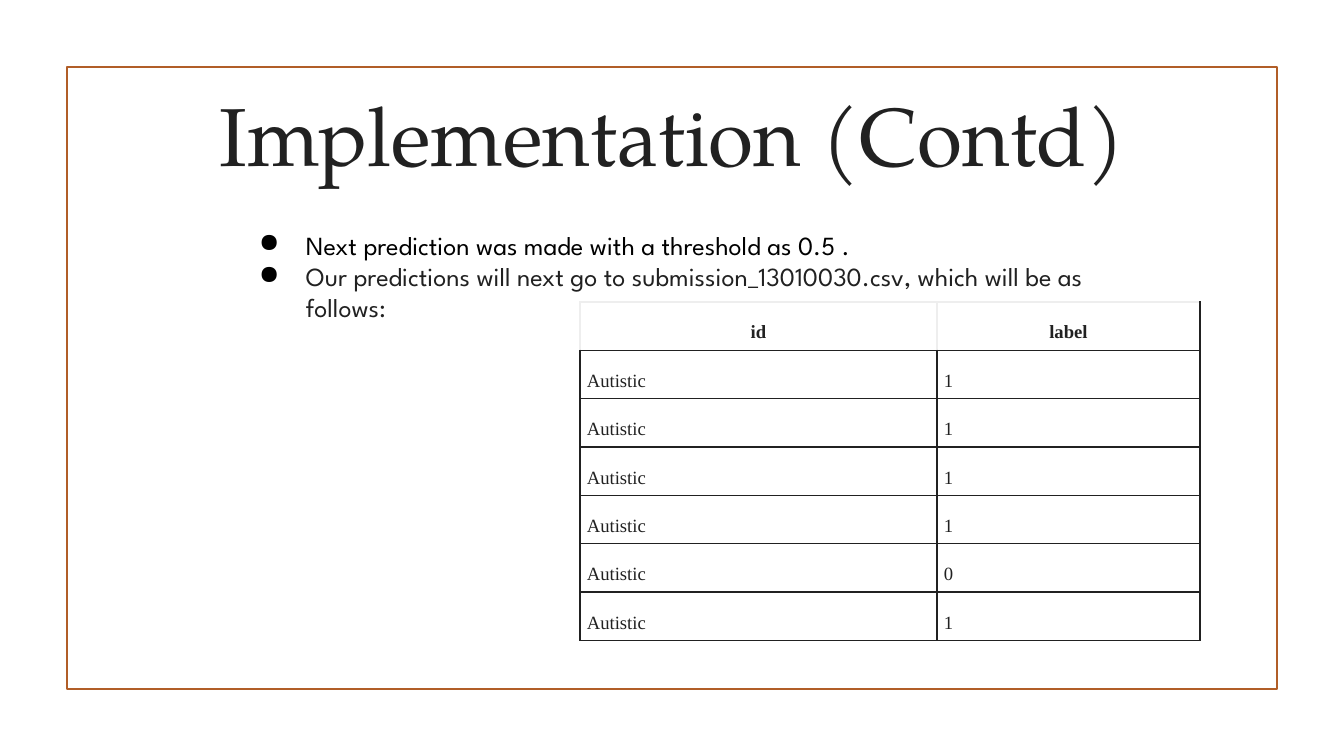
from lxml import etree
from pptx import Presentation
from pptx.dml.color import RGBColor
from pptx.enum.shapes import MSO_SHAPE
from pptx.enum.text import MSO_ANCHOR, PP_ALIGN
from pptx.oxml.ns import qn
from pptx.util import Emu, Pt

RECT = MSO_SHAPE.RECTANGLE
TOP, BOTTOM = MSO_ANCHOR.TOP, MSO_ANCHOR.BOTTOM
CENTER, JUSTIFY = PP_ALIGN.CENTER, PP_ALIGN.JUSTIFY

INK, BLACK, WHITE = "212121", "000000", "FFFFFF"
RUST, PALE = "B15E28", "EEEEEE"
SERIF, SANS, TIMES = "TeX Gyre Pagella", "League Spartan", "Times New Roman"

TITLE = "Implementation (Contd)"
POINTS = [
    ("Next prediction was made with a threshold as 0.5 .", BLACK),
    ("Our predictions will next go to submission_13010030.csv, "
     "which will be as follows:", INK),
]
HEAD = ("id", "label")
LABELS = ("1", "1", "1", "1", "0", "1")
ROWS = [HEAD] + [("Autistic", label) for label in LABELS]
COLS = (357, 263)
ROW = 42
INDENT = 47
SCALE = 914400 / 134.4


def px(n):
    return Emu(round(n * SCALE))


def rgb(code):
    return RGBColor.from_string(code)


def style(para, face, size, color, bold=False):
    font = para.font
    font.name, font.size, font.bold = face, Pt(size), bold
    font.color.rgb = rgb(color)


def add_text(slide, box, top):
    """Add a wrapping text box; top is its upper inset in px."""
    frame = slide.shapes.add_textbox(*map(px, box)).text_frame
    frame.word_wrap = True
    frame.vertical_anchor = TOP
    frame.margin_left = frame.margin_right = frame.margin_bottom = px(13)
    frame.margin_top = px(top)
    return frame


def add_bullet(para):
    props = para._p.get_or_add_pPr()
    props.set("marL", str(px(134)))
    props.set("indent", str(-px(INDENT)))
    tint = etree.SubElement(props, qn("a:buClr"))
    etree.SubElement(tint, qn("a:srgbClr"), val=BLACK)
    etree.SubElement(props, qn("a:buChar"), char="●")


def add_borders(cell, colors):
    """Draw the left, right, top and bottom edges in that order."""
    props = cell._tc.get_or_add_tcPr()
    for spot, (side, color) in enumerate(zip("LRTB", colors)):
        line = etree.Element(qn("a:ln" + side), w=str(Pt(0.83)))
        fill = etree.SubElement(line, qn("a:solidFill"))
        etree.SubElement(fill, qn("a:srgbClr"), val=color)
        props.insert(spot, line)


def fill_cell(cell, text, head, last):
    cell.fill.solid()
    cell.fill.fore_color.rgb = rgb(WHITE)
    cell.margin_left = cell.margin_right = px(7)
    cell.margin_top = cell.margin_bottom = px(4)
    para = cell.text_frame.paragraphs[0]
    para.text = text
    para.alignment = CENTER if head else JUSTIFY
    para.line_spacing = 1.8
    style(para, TIMES, 10, INK, head)
    edge = PALE if head else INK
    add_borders(cell, (edge, INK if last else edge, edge, INK))


def main():
    deck = Presentation()
    deck.slide_width, deck.slide_height = px(1344), px(756)
    slide = deck.slides.add_slide(deck.slide_layouts[6])

    border = slide.shapes.add_shape(RECT, *map(px, (67, 67, 1210, 622)))
    border.shadow.inherit = False
    border.fill.background()
    border.line.color.rgb = rgb(RUST)
    border.line.width = Pt(1.25)

    title = add_text(slide, (159, 71, 1027, 101), 13).paragraphs[0]
    title.text = TITLE
    title.alignment = CENTER
    style(title, SERIF, 44, INK)

    body = add_text(slide, (159, 184, 948, 118), 45)
    for i, (text, color) in enumerate(POINTS):
        para = body.add_paragraph() if i else body.paragraphs[0]
        para.text = text
        add_bullet(para)
        style(para, SANS, 14, color)

    box = (580, 302, sum(COLS), ROW * len(ROWS))
    table = slide.shapes.add_table(len(ROWS), len(COLS), *map(px, box)).table
    table.horz_banding = False
    for col, width in zip(table.columns, COLS):
        col.width = px(width)
    for r, row in enumerate(ROWS):
        table.rows[r].height = px(ROW)
        for c, text in enumerate(row):
            fill_cell(table.cell(r, c), text, r == 0, c == len(COLS) - 1)

    deck.save("out.pptx")


if __name__ == "__main__":
    main()
